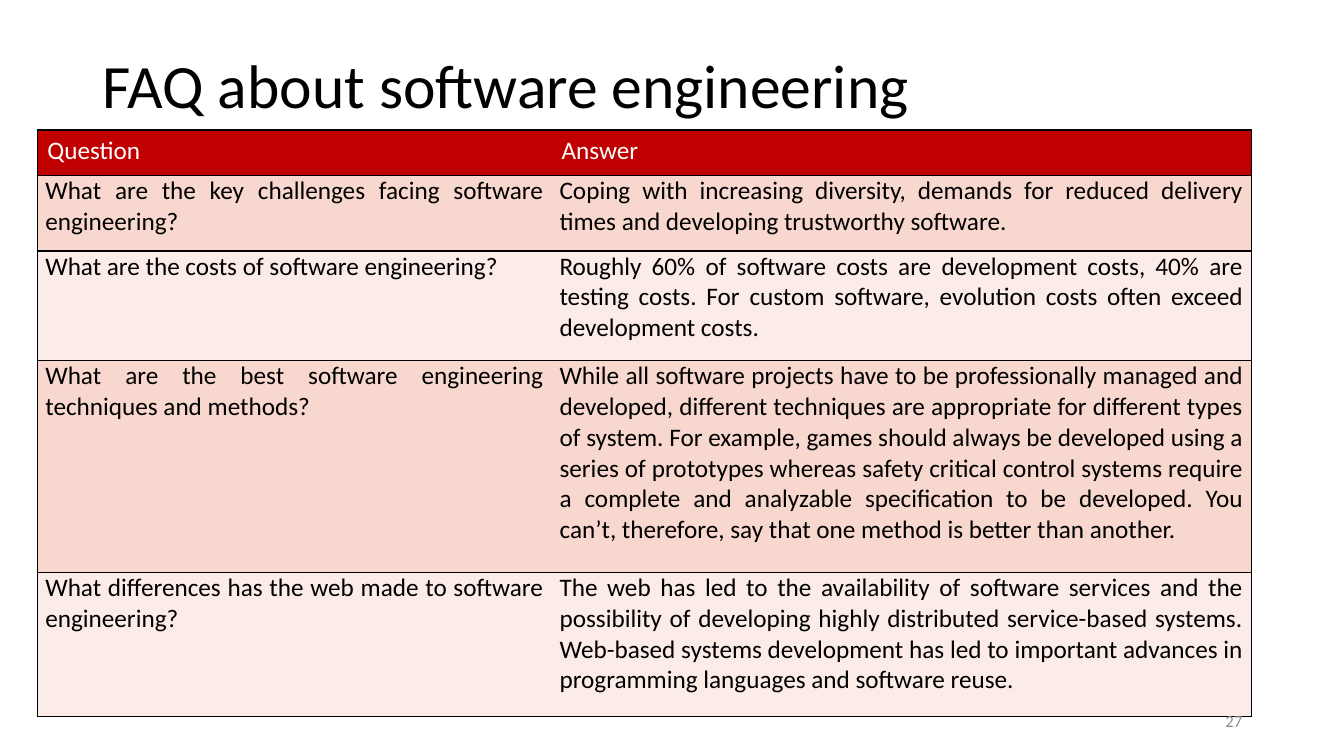
"""Build the software engineering FAQ slide with its question and answer table."""
from pptx import Presentation
from pptx import util as u
from pptx.dml.color import RGBColor
from pptx.enum import text
from pptx.oxml import parse_xml
from pptx.oxml.ns import nsdecls

TITLE = "FAQ about software engineering"
PAGE = "27"
FAQ = [
    ("Question", "Answer"),
    ("What are the key challenges facing software engineering?",
     "Coping with increasing diversity, demands for reduced delivery times and "
     "developing trustworthy software."),
    ("What are the costs of software engineering?",
     "Roughly 60% of software costs are development costs, 40% are testing costs. "
     "For custom software, evolution costs often exceed development costs."),
    ("What are the best software engineering techniques and methods?",
     "While all software projects have to be professionally managed and developed, "
     "different techniques are appropriate for different types of system. For example, "
     "games should always be developed using a series of prototypes whereas safety "
     "critical control systems require a complete and analyzable specification to be "
     "developed. You can’t, therefore, say that one method is better than another."),
    ("What differences has the web made to software engineering?",
     "The web has led to the availability of software services and the possibility of "
     "developing highly distributed service-based systems. Web-based systems development "
     "has led to important advances in programming languages and software reuse."),
]
COLS = [5.1, 6.94]
ROWS = [0.45, 0.75, 1.09, 2.1, 1.43]
THEME = {
    "font": "Calibri", "title": 44, "body": 18, "page": 12,
    "ink": "000000", "paper": "FFFFFF", "grey": "8C8C8C",
    "header": "C00000", "bands": ("F8D7CE", "FCECE8"),
}
CELL_MARGINS = {"margin_left": 0.08, "margin_top": 0,
                "margin_right": 0.08, "margin_bottom": 0.07}


def box(left, top, width, height):
    """Return a placement in inches as a dict of shape attributes."""
    return dict(zip(("left", "top", "width", "height"),
                    map(u.Inches, (left, top, width, height))))


def apply(obj, values):
    """Set each named attribute on the object."""
    for name, value in values.items():
        setattr(obj, name, value)


def write(tf, words, size, color, align, spacing=1.0):
    """Fill a text frame with one formatted run."""
    p = tf.paragraphs[0]
    apply(p, {"alignment": align, "line_spacing": spacing})
    r = p.add_run()
    r.text = words
    apply(r.font, {"name": THEME["font"], "size": u.Pt(size), "bold": False})
    r.font.color.rgb = RGBColor.from_string(color)


def add_borders(cell, visible):
    """Draw the visible sides of a cell and clear the others."""
    tc_pr = cell._tc.get_or_add_tcPr()
    ink = f'<a:solidFill><a:srgbClr val="{THEME["ink"]}"/></a:solidFill>'
    for side in "LRTB":
        paint = ink if side in visible else "<a:noFill/>"
        tc_pr.append(parse_xml(
            f'<a:ln{side} {nsdecls("a")} w="{u.Pt(1)}">{paint}</a:ln{side}>'))


def add_faq(slide):
    """Add the FAQ table with a header row and banded answers."""
    place = box(0.37, 1.29, sum(COLS), sum(ROWS))
    table = slide.shapes.add_table(len(FAQ), len(COLS), **place).table
    apply(table, {"first_row": False, "horz_banding": False})
    for column, width in zip(table.columns, COLS):
        column.width = u.Inches(width)
    for i, (row, height, words) in enumerate(zip(table.rows, ROWS, FAQ)):
        row.height = u.Inches(height)
        fill, color, align = THEME["header"], THEME["paper"], text.PP_ALIGN.LEFT
        if i:
            fill, color = THEME["bands"][(i - 1) % 2], THEME["ink"]
            align = text.PP_ALIGN.JUSTIFY
        for cell, entry, edge in zip(row.cells, words, "LR"):
            if i:
                apply(cell, {k: u.Inches(v) for k, v in CELL_MARGINS.items()})
            add_borders(cell, edge + "TB")
            cell.fill.solid()
            cell.fill.fore_color.rgb = RGBColor.from_string(fill)
            write(cell.text_frame, entry, THEME["body"], color, align)


def main():
    """Build and save the slide."""
    prs = Presentation()
    apply(prs, {"slide_width": u.Inches(13.33), "slide_height": u.Inches(7.5)})
    slide = prs.slides.add_slide(prs.slide_layouts[5])
    frame = {"word_wrap": True, "auto_size": text.MSO_AUTO_SIZE.NONE,
             "vertical_anchor": text.MSO_ANCHOR.MIDDLE}

    title = slide.shapes.title
    apply(title, box(0.92, 0.15, 11.5, 1.45))
    apply(title.text_frame, frame)
    write(title.text_frame, TITLE, THEME["title"], THEME["ink"],
          text.PP_ALIGN.LEFT, 0.9)

    add_faq(slide)

    page = slide.shapes.add_textbox(**box(9.42, 6.95, 3, 0.4))
    apply(page.text_frame, frame)
    write(page.text_frame, PAGE, THEME["page"], THEME["grey"], text.PP_ALIGN.RIGHT)
    prs.save("out.pptx")


if __name__ == "__main__":
    main()
